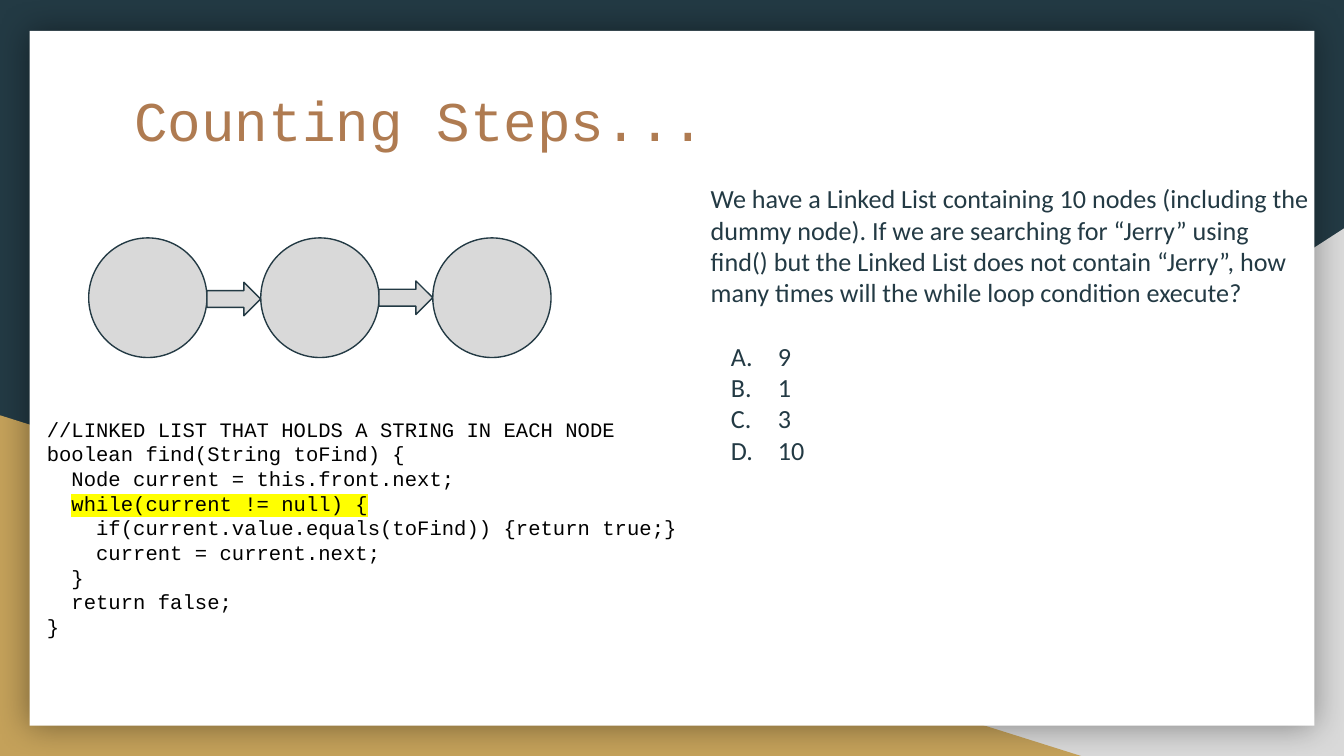
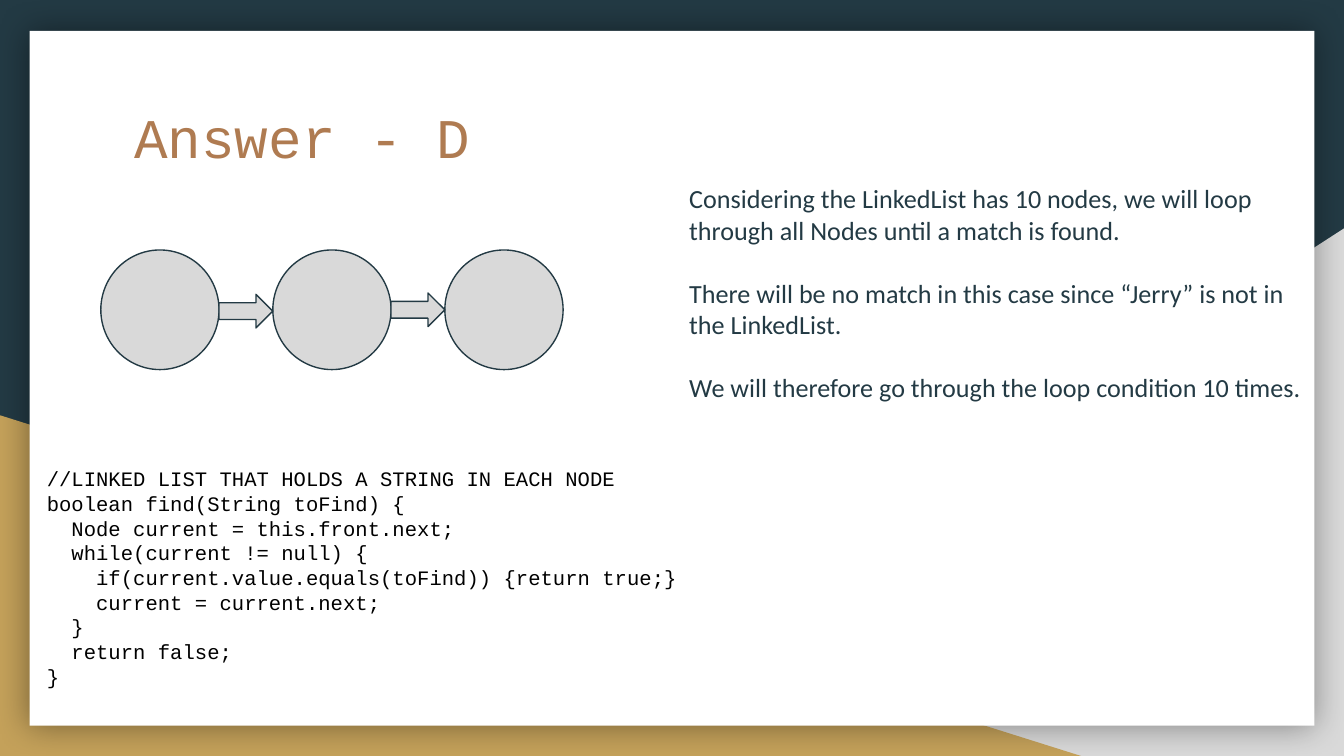
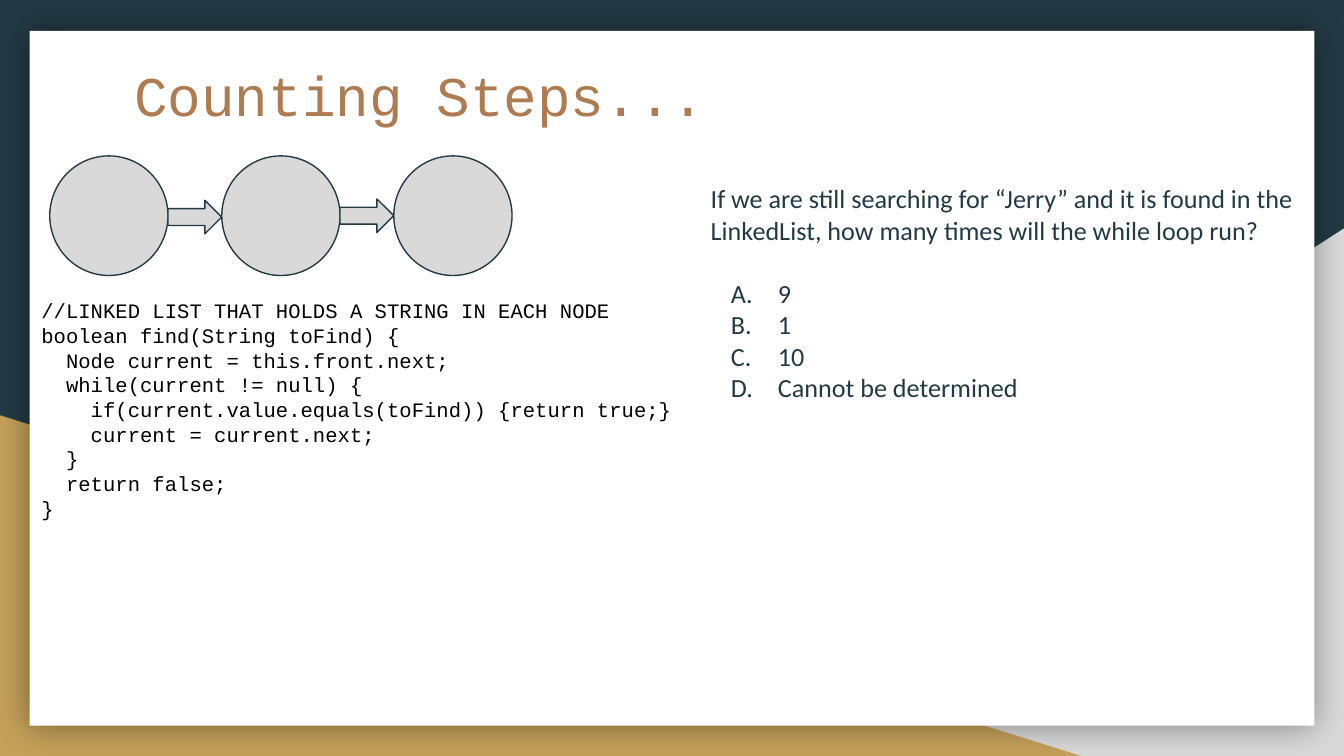
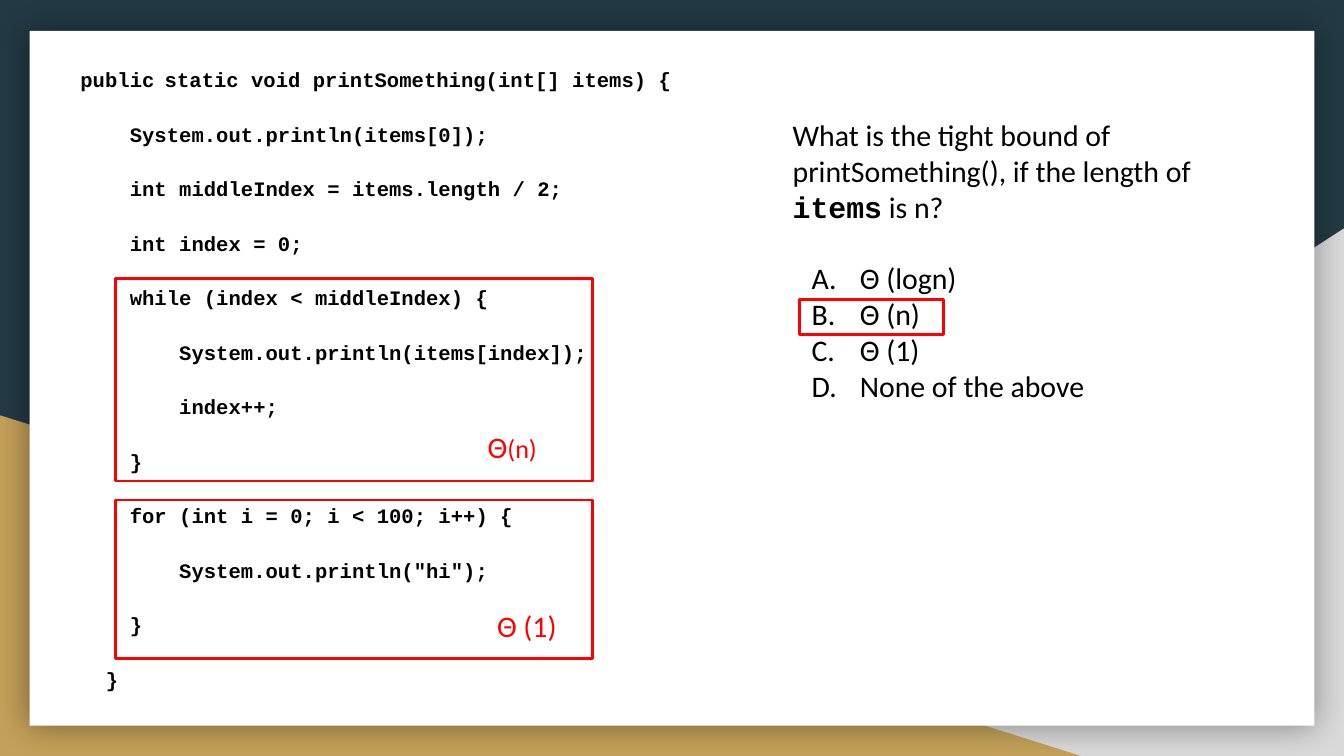
"""Build four slides on counting steps and tight bounds."""
import pptx
import pptx.util
import pptx.dml.color
import pptx.enum.shapes
import pptx.enum.text
import pptx.oxml
import pptx.oxml.ns

Inches, Pt = pptx.util.Inches, pptx.util.Pt
Kind = pptx.enum.shapes.MSO_SHAPE

COLORS = {"navy": "233A44", "gray": "D9D9D9", "gold": "C4A15A", "white": "FFFFFF",
          "brown": "AF7B51", "black": "000000", "dim": "696867", "red": "FF0000",
          "mark": "FFFF00"}
MONO, SANS = "Courier New", "Calibri"
TITLE = {"size": 30, "font": MONO, "color": "brown"}
CODE = {"size": 11, "font": MONO, "color": "black"}
BODY = {"size": 14, "font": SANS, "color": "navy"}
ASK = {"size": 16, "font": SANS, "color": "black"}
NOTE = {"size": 16, "font": SANS, "color": "red"}

FIND = [
    "//LINKED LIST THAT HOLDS A STRING IN EACH NODE",
    "boolean find(String toFind) {",
    "  Node current = this.front.next;",
    "  while(current != null) {",
    "    if(current.value.equals(toFind)) {return true;}",
    "    current = current.next;",
    "  }",
    "  return false;",
    "}",
]
LOOP = 3
MARKED = [*FIND[:LOOP], ["  ", ("while(current != null) {", {"mark": "mark"})],
          *FIND[LOOP + 1:]]

ASIDE = (5.19, 1.26, 4.66, 3.74)
STEPS = [
    {"title": "Counting Steps...", "top": 0.54, "code": MARKED, "code_at": (0.25, 3, 4.97, 2.05),
     "chain": (0.66, 1.77), "text_at": ASIDE,
     "text": ["We have a Linked List containing 10 nodes (including the dummy node). "
              "If we are searching for “Jerry” using find() but the Linked List does not "
              "contain “Jerry”, how many times will the while loop condition execute?"],
     "picks": ["9", "1", "3", "10"]},
    {"title": "Answer - D", "top": 0.66, "code": FIND, "code_at": (0.25, 3.37, 4.97, 2.02),
     "chain": (0.75, 1.86), "text_at": (5.03, 1.26, 4.83, 3.74),
     "text": ["Considering the LinkedList has 10 nodes, we will loop through all Nodes "
              "until a match is found.",
              "There will be no match in this case since “Jerry” is not in the LinkedList.",
              "We will therefore go through the loop condition 10 times."],
     "picks": []},
    {"title": "Counting Steps...", "top": 0.35, "code": FIND, "code_at": (0.21, 2.12, 4.97, 2.87),
     "chain": (0.37, 1.16), "text_at": ASIDE,
     "text": ["If we are still searching for “Jerry” and it is found in the LinkedList, "
              "how many times will the while loop run?"],
     "picks": ["9", "1", "10", "Cannot be determined"]},
]

PRINT = [
    ["public", (" ", {"size": 9, "color": "dim"}), "static void printSomething(int[] items) {"],
    "    System.out.println(items[0]);",
    "    int middleIndex = items.length / 2;",
    "    int index = 0;",
    "    while (index < middleIndex) {",
    "        System.out.println(items[index]);",
    "        index++;",
    "    }",
    "    for (int i = 0; i < 100; i++) {",
    "        System.out.println(\"hi\");",
    "    }",
    "}",
]
BOUND = ["What is the tight bound of printSomething(), if the length of ",
         ("items", {"font": MONO, "bold": True}), " is n?"]
BOUNDS = ["Θ (logn)", "Θ (n)", "Θ (1)", "None of the above"]
FRAMES = [(5.95, 2.23, 1.07, 0.26), (0.86, 2.07, 3.55, 1.51), (0.86, 3.72, 3.55, 1.18)]
NOTES = [((3.53, 3.09, 0.64, 0.47), ["Θ", ("(n)", {"size": 14})]),
         ((3.6, 4.42, 0.74, 0.47), "Θ (1)")]

NODES, STEP, WIDE, HIGH = 3, 1.28, 0.88, 0.89
DROPS = [0.33, 0.32]


def rgb(name):
    return pptx.dml.color.RGBColor.from_string(COLORS[name])


def node(tag, **attrs):
    item = pptx.oxml.parse_xml(f"<a:{tag} {pptx.oxml.ns.nsdecls('a')}/>")
    for key, value in attrs.items():
        item.set(key, str(value))
    return item


def draw(slide, kind, at, fill=None, line=None, width=0.75):
    shape = slide.shapes.add_shape(kind, *map(Inches, at))
    shape.shadow.inherit = False
    if fill:
        shape.fill.solid()
        shape.fill.fore_color.rgb = rgb(fill)
    else:
        shape.fill.background()
    if line:
        shape.line.color.rgb = rgb(line)
        shape.line.width = Pt(width)
    else:
        shape.line.fill.background()
    return shape


def style(run, look):
    font = run.font
    font.size, font.name = Pt(look["size"]), look["font"]
    font.bold = look.get("bold", False)
    font.color.rgb = rgb(look["color"])
    if "mark" in look:
        light = node("highlight")
        light.append(node("srgbClr", val=COLORS[look["mark"]]))
        run._r.rPr.find(pptx.oxml.ns.qn("a:solidFill")).addnext(light)


def fill_in(para, parts, look):
    for part in [parts] if isinstance(parts, str) else parts:
        words, extra = (part, {}) if isinstance(part, str) else part
        run = para.add_run()
        run.text = words
        style(run, {**look, **extra})


def write(slide, at, lines, look, gap=0):
    frame = slide.shapes.add_textbox(*map(Inches, at)).text_frame
    frame.word_wrap = True
    frame.vertical_anchor = pptx.enum.text.MSO_ANCHOR.TOP
    frame.margin_left = frame.margin_right = Inches(0.1)
    frame.margin_top = frame.margin_bottom = Inches(0.1)
    for i, parts in enumerate(lines):
        para = frame.add_paragraph() if i else frame.paragraphs[0]
        if i and gap:
            para.space_before = Pt(gap)
        fill_in(para, parts, look)
    return frame


def choose(frame, picks, look, gap, hang):
    for i, pick in enumerate(picks):
        para = frame.add_paragraph()
        if i == 0:
            para.space_before = Pt(gap)
        props = para._p.get_or_add_pPr()
        props.set("marL", str(Inches(0.5)))
        props.set("indent", str(-Inches(hang)))
        tint = node("buClr")
        tint.append(node("srgbClr", val=COLORS[look["color"]]))
        props.extend([tint, node("buFont", typeface=look["font"]),
                      node("buAutoNum", type="alphaUcPeriod")])
        fill_in(para, pick, look)


def start(deck):
    slide = deck.slides.add_slide(deck.slide_layouts[6])
    back = slide.background.fill
    back.solid()
    back.fore_color.rgb = rgb("navy")
    right = draw(slide, Kind.RIGHT_TRIANGLE, (3.92, 1.7, 6.08, 3.93), "gray")
    right._element.spPr.xfrm.set("flipH", "1")
    draw(slide, Kind.RIGHT_TRIANGLE, (0, 3.09, 8.06, 2.54), "gold")
    card = draw(slide, Kind.RECTANGLE, (0.22, 0.23, 9.56, 5.17), "white")
    glow = node("outerShdw", blurRad=Pt(18), dist=0, dir=0, algn="ctr", rotWithShape=0)
    tint = node("srgbClr", val=COLORS["black"])
    tint.append(node("alpha", val=40000))
    glow.append(tint)
    card._element.spPr.find(pptx.oxml.ns.qn("a:effectLst")).append(glow)
    return slide


def link(slide, left, top):
    for i in range(NODES):
        draw(slide, Kind.OVAL, (left + i * STEP, top, WIDE, HIGH), "gray", "navy")
    for i, drop in enumerate(DROPS):
        at = (left + i * STEP + WIDE, top + drop, STEP - WIDE, 0.25)
        draw(slide, Kind.RIGHT_ARROW, at, "gray", "navy")


def count(deck, step):
    slide = start(deck)
    write(slide, (0.9, step["top"], 8.21, 1.04), [step["title"]], TITLE)
    write(slide, step["code_at"], step["code"], CODE)
    frame = write(slide, step["text_at"], step["text"], BODY, 17)
    choose(frame, step["picks"], BODY, 17, 0.35)
    link(slide, *step["chain"])


def bound(deck):
    slide = start(deck)
    code = write(slide, (0.5, 0.4, 5.45, 4.84), PRINT, {**CODE, "bold": True}, 16)
    code.paragraphs[-1]._p.get_or_add_pPr().set("marL", str(Inches(0.19)))
    frame = write(slide, (5.8, 0.77, 3.55, 2.36), [BOUND], ASK)
    choose(frame, BOUNDS, ASK, 19, 0.36)
    for at in FRAMES:
        draw(slide, Kind.RECTANGLE, at, line="red", width=1.5)
    for at, words in NOTES:
        write(slide, at, [words], NOTE)


def main():
    deck = pptx.Presentation()
    deck.slide_width = Inches(10)
    deck.slide_height = deck.slide_width * 9 // 16
    for step in STEPS:
        count(deck, step)
    bound(deck)
    deck.save("out.pptx")


if __name__ == "__main__":
    main()
